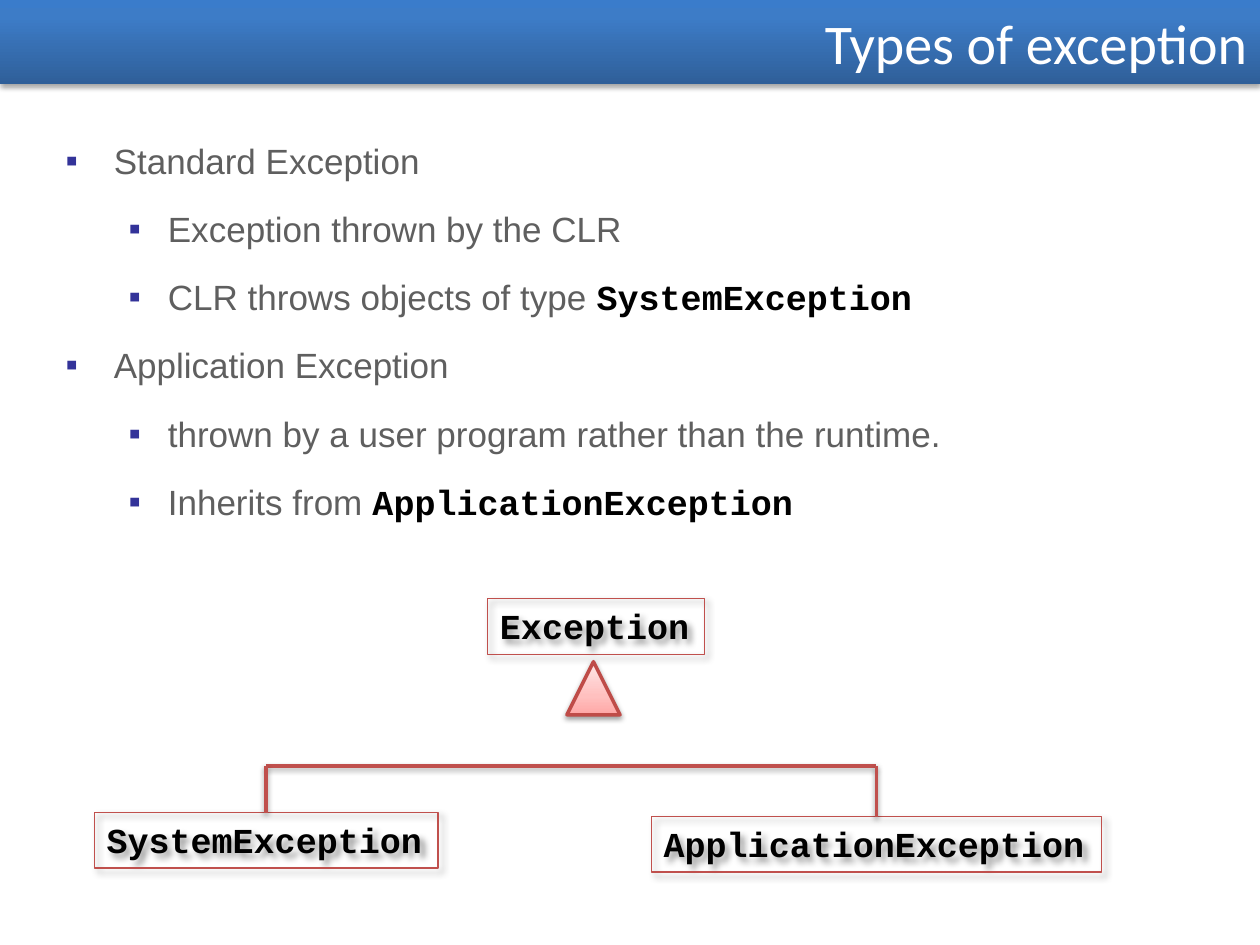
from lxml import etree
from pptx import Presentation
from pptx.dml.color import RGBColor
from pptx.enum.shapes import MSO_CONNECTOR, MSO_SHAPE
from pptx.enum.text import MSO_ANCHOR, MSO_AUTO_SIZE, PP_ALIGN
from pptx.oxml.ns import qn
from pptx.util import Cm, Pt

STRAIGHT = MSO_CONNECTOR.STRAIGHT
TRIANGLE = MSO_SHAPE.ISOSCELES_TRIANGLE
MIDDLE = MSO_ANCHOR.MIDDLE
NO_FIT, GROW = MSO_AUTO_SIZE.NONE, MSO_AUTO_SIZE.SHAPE_TO_FIT_TEXT
RIGHT = PP_ALIGN.RIGHT

COLORS = {"white": "FFFFFF", "black": "000000", "text": "5F5F5F",
          "bullet": "333399", "red": "C0504D", "edge": "BF4C48"}
BANNER = [(0, "2F5F99"), (80, "3D7CC7"), (100, "3A7CCB")]
PINK = [(0, "FFA6A5"), (35, "FFC0BF"), (100, "FFE7E7")]
FORMATS = {
    "title": {"name": "Calibri", "size": Pt(32), "bold": False, "color": "white"},
    "body": {"name": "Arial", "size": Pt(20), "bold": False, "color": "text"},
    "code": {"name": "Courier New", "size": Pt(20), "bold": True, "color": "black"},
}
SHADOWS = {"banner": (35, 3.1, 1.8, 90), "box": (40, 4, 3, 45),
           "line": (38, 3.1, 1.6, 90)}
INDENTS = [(0.97, -0.97), (2.06, -0.79)]
ITEMS = [
    (0, "Standard Exception", ""),
    (1, "Exception thrown by the CLR", ""),
    (1, "CLR throws objects of type ", "SystemException"),
    (0, "Application Exception", ""),
    (1, "thrown by a user program rather than the runtime.", ""),
    (1, "Inherits from ", "ApplicationException"),
]


def add_xml(parent, tag, **attrs):
    return etree.SubElement(parent, qn(tag), {k: str(v) for k, v in attrs.items()})


class Deck:
    """Builds slides in one shared style."""

    def __init__(self):
        self.prs = Presentation()
        self.prs.slide_width, self.prs.slide_height = Cm(25.4), Cm(19.05)
        self.s = self.prs.slides.add_slide(self.prs.slide_layouts[1])

    def place(self, sp, *box):
        for name, value in zip(("left", "top", "width", "height"), box):
            setattr(sp, name, Cm(value))

    def run(self, p, text, style):
        r = p.add_run()
        r.text = text
        for name, value in FORMATS[style].items():
            if name == "color":
                r.font.color.rgb = RGBColor.from_string(COLORS[value])
            else:
                setattr(r.font, name, value)

    def gradient(self, sp, stops):
        fill = add_xml(sp._element.spPr, "a:gradFill", rotWithShape=1)
        stop_list = add_xml(fill, "a:gsLst")
        for pos, color in stops:
            gs = add_xml(stop_list, "a:gs", pos=pos * 1000)
            add_xml(gs, "a:srgbClr", val=color)
        add_xml(fill, "a:lin", ang=270 * 60000, scaled=0)

    def outline(self, sp, color, width):
        sp.line.color.rgb = RGBColor.from_string(COLORS[color])
        sp.line.width = Pt(width)

    def shadow(self, sp, style):
        alpha, blur, dist, angle = SHADOWS[style]
        effects = add_xml(sp._element.spPr, "a:effectLst")
        outer = add_xml(effects, "a:outerShdw", blurRad=Pt(blur), dist=Pt(dist),
                        dir=angle * 60000, algn="tl", rotWithShape=0)
        color = add_xml(outer, "a:srgbClr", val=COLORS["black"])
        add_xml(color, "a:alpha", val=alpha * 1000)

    def title(self, text, *box):
        sp = self.s.shapes.title
        self.place(sp, *box)
        self.gradient(sp, BANNER)
        self.shadow(sp, "banner")
        tf = sp.text_frame
        tf.auto_size, tf.vertical_anchor = NO_FIT, MIDDLE
        tf.paragraphs[0].alignment = RIGHT
        self.run(tf.paragraphs[0], text, "title")

    def bullets(self, items, *box):
        sp = self.s.placeholders[1]
        self.place(sp, *box)
        tf = sp.text_frame
        tf.auto_size = NO_FIT
        for i, (level, text, code) in enumerate(items):
            p = tf.add_paragraph() if i else tf.paragraphs[0]
            p.level, p.line_spacing, p.space_before = level, 1.4, Pt(5.4)
            pPr = p._p.get_or_add_pPr()
            for name, value in zip(("marL", "indent"), INDENTS[level]):
                pPr.set(name, str(Cm(value)))
            add_xml(add_xml(pPr, "a:buClr"), "a:srgbClr", val=COLORS["bullet"])
            add_xml(pPr, "a:buFont", typeface="Arial")
            add_xml(pPr, "a:buChar", char="▪")
            self.run(p, text, "body")
            if code:
                self.run(p, code, "code")

    def class_box(self, text, *box):
        sp = self.s.shapes.add_textbox(*map(Cm, box))
        sp.fill.background()
        self.outline(sp, "red", 0.75)
        self.shadow(sp, "box")
        tf = sp.text_frame
        tf.word_wrap, tf.auto_size = False, GROW
        self.run(tf.paragraphs[0], text, "code")
        return sp

    def triangle(self, *box):
        sp = self.s.shapes.add_shape(TRIANGLE, *map(Cm, box))
        self.gradient(sp, PINK)
        self.outline(sp, "edge", 2)
        self.shadow(sp, "line")

    def line(self, x1, y1, x2, y2, start=None):
        c = self.s.shapes.add_connector(STRAIGHT, x1, y1, x2, y2)
        if start is not None:
            c.begin_connect(start, 0)
        self.outline(c, "red", 2)
        self.shadow(c, "line")

    def branches(self, children, bar):
        centers = [sp.left + sp.width // 2 for sp in children]
        self.line(centers[0], bar, centers[-1], bar)
        for x, sp in zip(centers, children):
            self.line(x, sp.top, x, bar, sp)


def main():
    deck = Deck()
    deck.title("Types of exception", 0, 0, 25.4, 1.7)
    deck.bullets(ITEMS, 1.07, 2.34, 23.5, 15.24)
    children = [
        deck.class_box("SystemException", 1.9, 16.38, 6.93, 1.12),
        deck.class_box("ApplicationException", 13.13, 16.46, 9.07, 1.12),
    ]
    deck.class_box("Exception", 9.83, 12.07, 4.37, 1.12)
    deck.triangle(11.43, 13.34, 1.07, 1.07)
    deck.branches(children, Cm(15.44))
    deck.prs.save("out.pptx")


if __name__ == "__main__":
    main()
